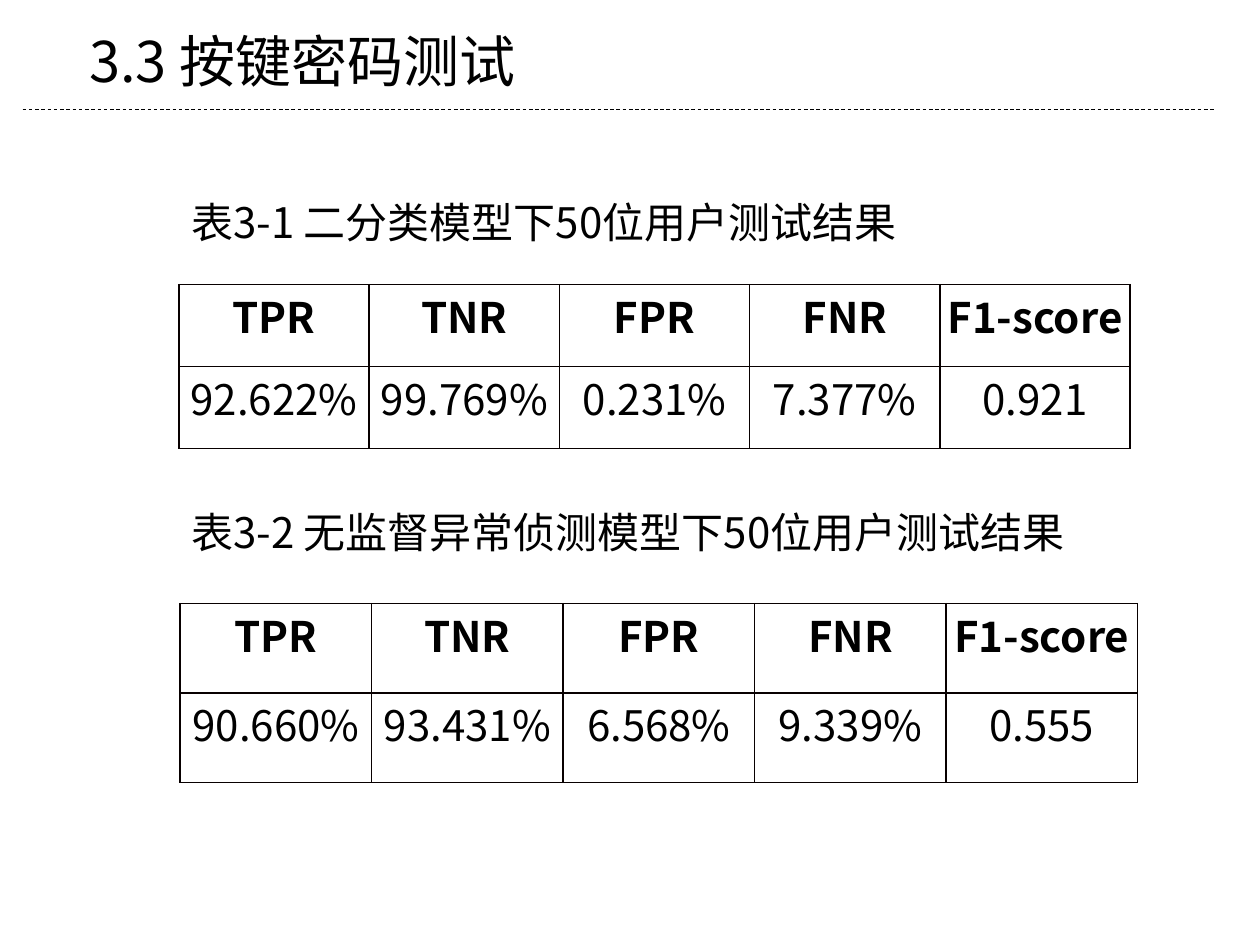
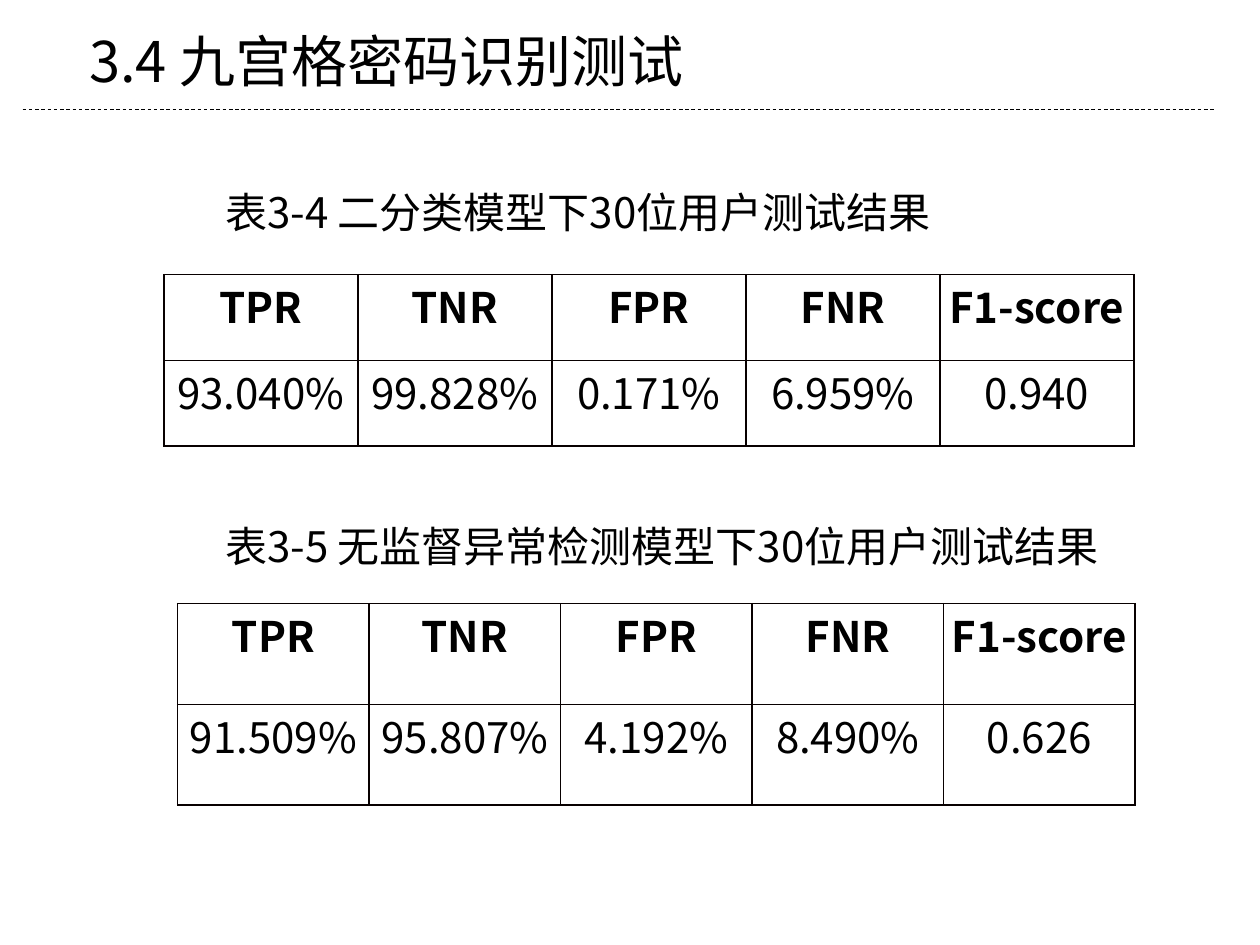
"""Build two slides of password test results."""
from dataclasses import dataclass

from lxml import etree
from pptx import Presentation
from pptx import util as u
from pptx.dml.color import RGBColor
from pptx.enum import dml, shapes, text
from pptx.oxml.ns import qn

FONT = "Noto Sans CJK SC"
INK = "000000"
BORDER = "080000"
HEADERS = ("TPR", "TNR", "FPR", "FNR", "F1-score")


@dataclass(frozen=True)
class Result:
    caption: str
    caption_left: float
    caption_top: float
    table_left: float
    table_top: float
    column_width: float
    row_height: float
    values: tuple[str, ...]


@dataclass(frozen=True)
class Section:
    title: str
    results: tuple[Result, ...]


SECTIONS = (
    Section("3.3 按键密码测试", (
        Result("表3-1 二分类模型下50位用户测试结果", 1.42, 1.51, 1.42, 2.26, 1.51, 0.65,
               ("92.622%", "99.769%", "0.231%", "7.377%", "0.921")),
        Result("表3-2 无监督异常侦测模型下50位用户测试结果", 1.42, 3.97, 1.43, 4.79, 1.52, 0.71,
               ("90.660%", "93.431%", "6.568%", "9.339%", "0.555")),
    )),
    Section("3.4 九宫格密码识别测试", (
        Result("表3-4 二分类模型下30位用户测试结果", 1.69, 1.43, 1.3, 2.18, 1.54, 0.68,
               ("93.040%", "99.828%", "0.171%", "6.959%", "0.940")),
        Result("表3-5 无监督异常检测模型下30位用户测试结果", 1.69, 4.08, 1.41, 4.79, 1.52, 0.8,
               ("91.509%", "95.807%", "4.192%", "8.490%", "0.626")),
    )),
)


def color(value: str) -> RGBColor:
    return RGBColor.from_string(value)


def write_text(frame, content: str, *, size: float = 24, bold: bool = False,
               align=text.PP_ALIGN.LEFT) -> None:
    paragraph = frame.paragraphs[0]
    paragraph.alignment = align
    run = paragraph.add_run()
    run.text = content
    run.font.name = FONT
    run.font.size = u.Pt(size)
    run.font.bold = bold
    run.font.color.rgb = color(INK)
    etree.SubElement(run.font._element, qn("a:ea"), typeface=FONT)


def add_label(slide, content: str, left: float, top: float, width: float,
              height: float, *, size: float = 24) -> None:
    box = slide.shapes.add_textbox(*map(u.Inches, (left, top, width, height)))
    box.text_frame.word_wrap = True
    write_text(box.text_frame, content, size=size)


def add_heading(slide, title: str) -> None:
    rule = slide.shapes.add_connector(
        shapes.MSO_CONNECTOR.STRAIGHT, *map(u.Inches, (0.18, 0.87, 9.64, 0.87)))
    rule.line.color.rgb = color(INK)
    rule.line.width = u.Pt(0.5)
    rule.line.dash_style = dml.MSO_LINE.DASH
    etree.SubElement(rule._element.spPr, qn("a:effectLst"))
    add_label(slide, title, 0.61, 0.16, 8.57, 0.64, size=32)


def add_borders(cell) -> None:
    properties = cell._tc.get_or_add_tcPr()
    for index, side in enumerate("LRTB"):
        line = etree.Element(qn(f"a:ln{side}"), w=str(u.Pt(1)))
        fill = etree.SubElement(line, qn("a:solidFill"))
        etree.SubElement(fill, qn("a:srgbClr"), val=BORDER)
        properties.insert(index, line)


def add_result(slide, result: Result) -> None:
    add_label(slide, result.caption, result.caption_left, result.caption_top, 8.25, 0.5)
    rows = (HEADERS, result.values)
    table = slide.shapes.add_table(
        len(rows), len(HEADERS), u.Inches(result.table_left), u.Inches(result.table_top),
        u.Inches(result.column_width * len(HEADERS)),
        u.Inches(result.row_height * len(rows))).table
    table.first_row = table.horz_banding = False
    for column in table.columns:
        column.width = u.Inches(result.column_width)
    for row_index, values in enumerate(rows):
        table.rows[row_index].height = u.Inches(result.row_height)
        for column_index, value in enumerate(values):
            cell = table.cell(row_index, column_index)
            cell.margin_left = cell.margin_right = u.Inches(0.06)
            cell.margin_top = cell.margin_bottom = 0
            cell.fill.background()
            add_borders(cell)
            write_text(cell.text_frame, value, bold=row_index == 0,
                       align=text.PP_ALIGN.CENTER)


def main() -> None:
    presentation = Presentation()
    presentation.slide_width = u.Inches(10)
    presentation.slide_height = u.Inches(7.5)
    for section in SECTIONS:
        slide = presentation.slides.add_slide(presentation.slide_layouts[6])
        add_heading(slide, section.title)
        for result in section.results:
            add_result(slide, result)
    presentation.save("out.pptx")


if __name__ == "__main__":
    main()
